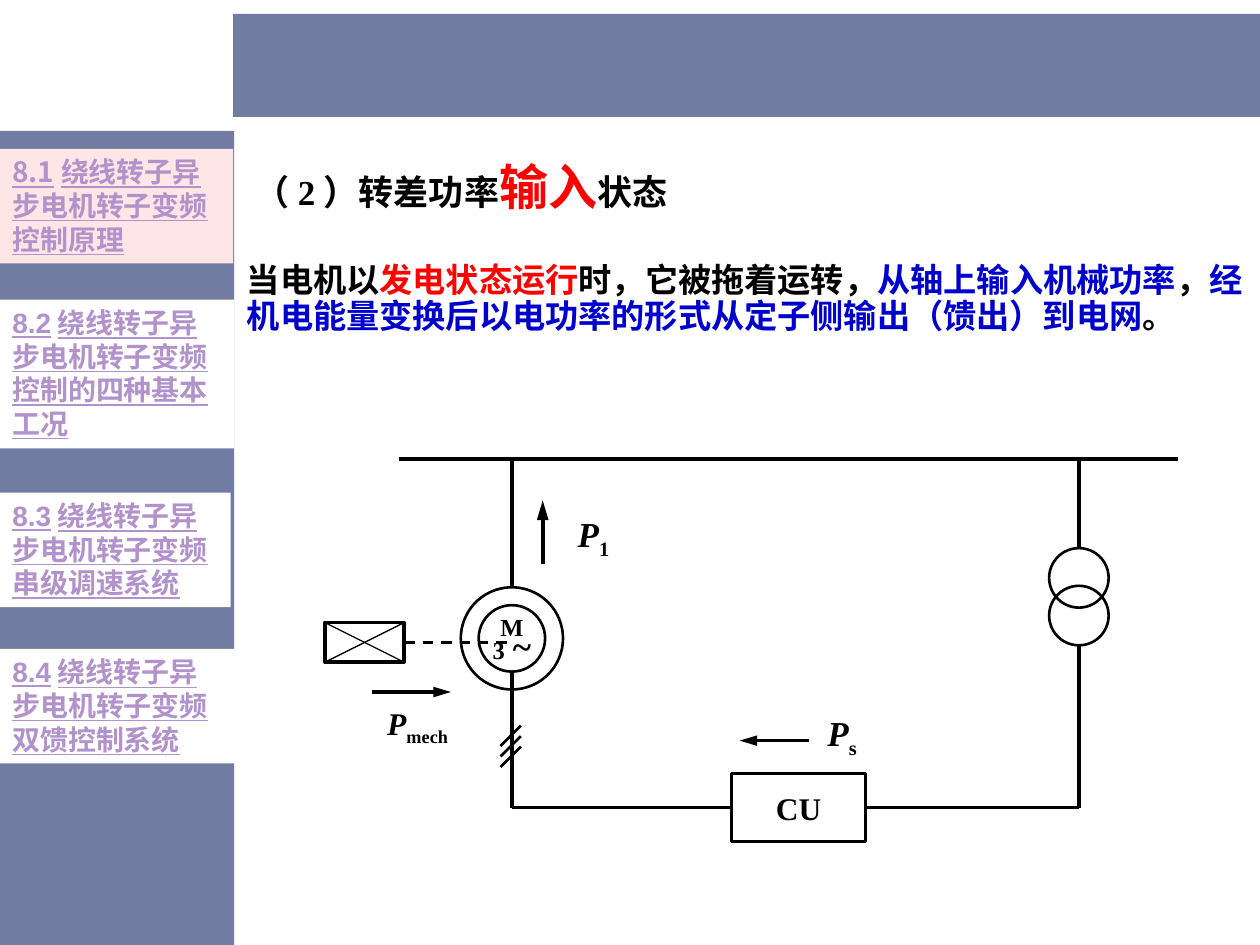
from lxml import etree
from pptx import Presentation
from pptx.dml.color import RGBColor
from pptx.enum import dml, shapes, text
from pptx.oxml import ns
from pptx.util import Cm, Pt

COLORS = {
    "band": "727CA3", "white": "FFFFFF", "current": "FFE6E6", "link": "B292CA",
    "black": "000000", "red": "FF0000", "blue": "0000CC",
}
SERIF, SANS, CJK = "Times New Roman", "Arial", "Noto Sans CJK SC"


def rgb(name):
    return RGBColor.from_string(COLORS[name])


def add_run(paragraph, words, size, color="black", font=SERIF, italic=False,
            underline=False, subscript=False):
    run = paragraph.add_run()
    run.text = words
    run.font.name, run.font.size = font, Pt(size)
    run.font.bold, run.font.italic = True, italic
    run.font.underline = underline
    run.font.color.rgb = rgb(color)
    properties = run.font._element
    etree.SubElement(properties, ns.qn("a:ea")).set("typeface", CJK)
    if subscript:
        properties.set("baseline", "-25000")


def add_shape(slide, box, kind=shapes.MSO_SHAPE.RECTANGLE, fill=None, width=None):
    shape = slide.shapes.add_shape(kind, *(Cm(value) for value in box))
    shape.shadow.inherit = False
    if fill:
        shape.fill.solid()
        shape.fill.fore_color.rgb = rgb(fill)
    else:
        shape.fill.background()
    if width:
        shape.line.color.rgb = rgb("black")
        shape.line.width = Pt(width)
    else:
        shape.line.fill.background()
    return shape


def add_text_box(slide, box, anchor=text.MSO_ANCHOR.MIDDLE, wrap=False):
    frame = slide.shapes.add_textbox(*(Cm(value) for value in box)).text_frame
    frame.word_wrap = wrap
    frame.vertical_anchor = anchor
    return frame.paragraphs[0]


def add_line(slide, start, end, width=2, arrow=False, dashed=False):
    line = slide.shapes.add_connector(
        shapes.MSO_CONNECTOR.STRAIGHT, *(Cm(value) for value in (*start, *end)))
    line.line.color.rgb = rgb("black")
    line.line.width = Pt(width)
    if dashed:
        line.line.dash_style = dml.MSO_LINE.DASH
    if arrow:
        head = etree.SubElement(line.line._get_or_add_ln(), ns.qn("a:tailEnd"))
        for key, value in (("type", "triangle"), ("w", "med"), ("len", "lg")):
            head.set(key, value)
    etree.SubElement(line._element.spPr, ns.qn("a:effectLst"))
    return line


def build_title(slide, left, top, width, height):
    title = slide.shapes.title
    title.left, title.top = Cm(left), Cm(top)
    title.width, title.height = Cm(width), Cm(height)
    frame = title.text_frame
    frame.margin_left = frame.margin_top = frame.margin_bottom = 0
    frame.vertical_anchor = text.MSO_ANCHOR.MIDDLE
    frame.auto_size = text.MSO_AUTO_SIZE.NONE
    paragraph = frame.paragraphs[0]
    paragraph.alignment = text.PP_ALIGN.LEFT
    paragraph.line_spacing = 0.9
    add_run(paragraph, "（2）转差功率", 20)
    add_run(paragraph, "输入", 28, "red", CJK)
    add_run(paragraph, "状态", 20)


def build_body(slide, box):
    paragraph = add_text_box(slide, box, text.MSO_ANCHOR.TOP, wrap=True)
    paragraph.line_spacing = 0.9
    for words, color in (
        ("当电机以", "black"), ("发电状态运行", "red"),
        ("时，它被拖着运转，", "black"), ("从轴上输入机械功率", "blue"), ("，", "black"),
        ("经机电能量变换后以电功率的形式从定子侧输出（馈出）到电网", "blue"), ("。", "black"),
    ):
        add_run(paragraph, words, 19, color, "Karla")


def build_navigation(slide, left, top, width, height):
    add_shape(slide, (left, top, width, height), fill="band")
    # Section entries: offset from the top, width, height, fill, font, heading
    for offset, entry_width, entry_height, fill, font, heading in (
        (0.36, 4.7, 2.31, "current", CJK, "8.1绕线转子异步电机转子变频控制原理"),
        (3.4, 4.72, 3, "white", SANS, "8.2绕线转子异步电机转子变频控制的四种基本工况"),
        (7.29, 4.65, 2.31, "white", SANS, "8.3绕线转子异步电机转子变频串级调速系统"),
        (10.44, 4.78, 2.31, "white", SANS, "8.4绕线转子异步电机转子变频双馈控制系统"),
    ):
        entry = add_shape(slide, (left, top + offset, entry_width, entry_height), fill=fill)
        frame = entry.text_frame
        frame.word_wrap = True
        frame.vertical_anchor = text.MSO_ANCHOR.TOP
        paragraph = frame.paragraphs[0]
        paragraph.alignment = text.PP_ALIGN.LEFT
        add_run(paragraph, heading, 16, "link", font, underline=True)


def build_circuit(slide, left, top):
    motor_x, motor_y, grid_x, bottom = 3.77, 3.62, 15.2, 7.03

    def at(x, y):
        return left + x, top + y

    def line(start, end, **style):
        return add_line(slide, at(*start), at(*end), **style)

    def circle(x, y, radius):
        add_shape(slide, (*at(x - radius, y - radius), 2 * radius, 2 * radius),
                  shapes.MSO_SHAPE.OVAL, width=1.5)

    def label(x, y, width, height, *runs, align=text.PP_ALIGN.CENTER):
        paragraph = add_text_box(slide, (*at(x, y), width, height))
        paragraph.alignment = align
        for words, size, style in runs:
            add_run(paragraph, words, size, **style)

    italic, subscript = {"italic": True}, {"subscript": True}

    # Grid busbar and transformer
    line((1.5, 0), (17.2, 0))
    line((grid_x, 0), (grid_x, 1.8))
    for y in (2.4, 3.16):
        circle(grid_x, y, 0.6)
    line((grid_x, 3.76), (grid_x, bottom))

    # Motor with stator and rotor leads
    line((motor_x, 0), (motor_x, motor_y - 1.03))
    for radius in (1.03, 0.67):
        circle(motor_x, motor_y, radius)
    line((motor_x, motor_y + 0.67), (motor_x, bottom))
    for step in range(3):
        y = 5.79 + 0.21 * step
        line((motor_x - 0.23, y), (motor_x + 0.18, y - 0.41), width=1.5)
    label(2.82, 2.79, 1.9, 1.2, ("M", 14, {}))
    label(2.82, 3.17, 1.9, 1.2, ("3", 14, {}), (" ", 18, {}), ("~", 20, {}))

    # Converter unit
    unit = add_shape(slide, (*at(8.2, bottom - 0.68), 2.7, 1.36), width=1.75)
    unit.text_frame.vertical_anchor = text.MSO_ANCHOR.MIDDLE
    paragraph = unit.text_frame.paragraphs[0]
    paragraph.alignment = text.PP_ALIGN.CENTER
    add_run(paragraph, "CU", 18)
    line((motor_x, bottom), (8.2, bottom)).end_connect(unit, 1)
    line((10.9, bottom), (grid_x, bottom)).begin_connect(unit, 3)

    # Mechanical load and shaft
    load = add_shape(slide, (*at(0, 3.3), 1.6, 0.8), width=2)
    line((0, 3.3), (1.6, 4.1), width=0.75)
    line((0, 4.1), (1.6, 3.3), width=0.75)
    line((1.6, 3.7), (3.78, 3.7), width=1.5, dashed=True).begin_connect(load, 3)

    # Power flow arrows and labels
    line((4.39, 2.13), (4.39, 0.84), width=2.25, arrow=True)
    label(4.83, 1.01, 1.17, 1.1, ("P", 20, italic), ("1", 20, subscript))
    line((9.75, 5.68), (8.36, 5.68), arrow=True)
    label(9.88, 5.03, 1.5, 1.1, ("P", 20, italic), ("s", 20, subscript),
          align=text.PP_ALIGN.LEFT)
    line((0.94, 4.7), (2.54, 4.7), arrow=True)
    label(0.97, 4.78, 1.8, 1.2, ("P", 18, italic), ("mech", 18, subscript))


def main():
    presentation = Presentation()
    presentation.slide_width, presentation.slide_height = Cm(25.4), Cm(19.05)
    slide = presentation.slides.add_slide(presentation.slide_layouts[5])
    add_shape(slide, (4.7, 0.28, 20.7, 2.08), fill="band")
    build_navigation(slide, 0, 2.64, 4.72, 16.41)
    build_title(slide, 5.13, 3.02, 9.68, 1.6)
    build_body(slide, (4.73, 5.19, 20.67, 1.73))
    build_circuit(slide, 6.55, 9.25)
    presentation.save("out.pptx")


if __name__ == "__main__":
    main()
